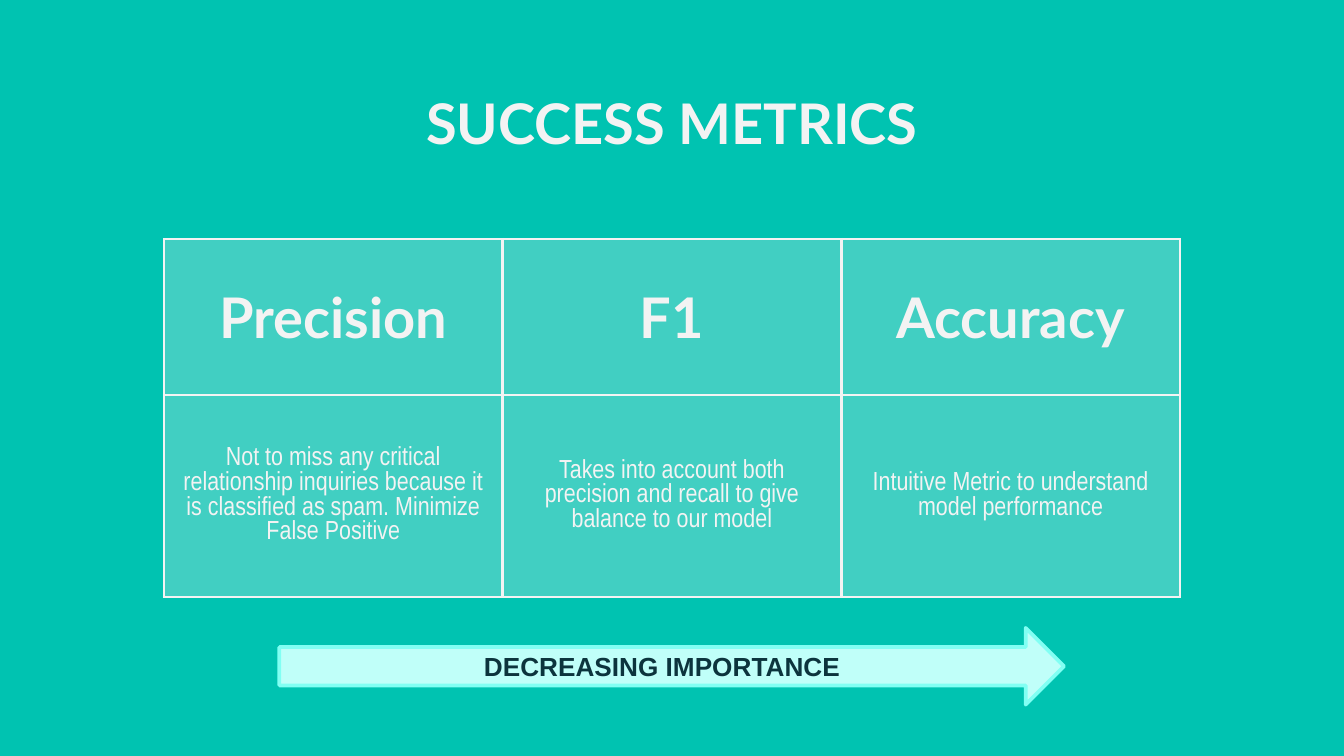
from lxml import etree
from pptx import Presentation
from pptx.dml.color import RGBColor
from pptx.enum.shapes import MSO_SHAPE
from pptx.enum.text import MSO_ANCHOR, MSO_AUTO_SIZE, PP_ALIGN
from pptx.oxml import parse_xml
from pptx.oxml.ns import nsdecls, qn
from pptx.util import Cm, Pt

RIGHT_ARROW = MSO_SHAPE.RIGHT_ARROW
TOP, MIDDLE = MSO_ANCHOR.TOP, MSO_ANCHOR.MIDDLE
CENTER = PP_ALIGN.CENTER
NO_FIT = MSO_AUTO_SIZE.NONE
TITLE_ONLY = 5

COLORS = {
    "background": "00C3B1",
    "light": "F3F3F3",
    "arrow": "C0FFF9",
    "arrow_edge": "81FFF3",
    "dark": "0C343D",
}
HEADING = {"name": "Lato", "size": Pt(30), "bold": True}
DETAIL = {"name": "Arial Narrow", "size": Pt(14), "bold": False}
LABEL = {"name": "Arial", "size": Pt(14), "bold": True}

METRICS = {
    "Precision": "Not to miss any critical relationship inquiries because it "
                 "is classified as spam. Minimize False Positive",
    "F1": "Takes into account both precision and recall to give balance to our model",
    "Accuracy": "Intuitive Metric to understand model performance",
}
COLUMN_WIDTH = Cm(6.4)
ROW_HEIGHTS = (Cm(2.95), Cm(3.81))
MARGIN = Cm(0.25)
CELL_ALPHA = 27
BORDER_WIDTH = Pt(1.5)


def rgb(color):
    return RGBColor.from_string(COLORS[color])


def write(frame, text, font, color):
    """Put one centred paragraph into a text frame."""
    para = frame.paragraphs[0]
    para.alignment = CENTER
    span = para.add_run()
    span.text = text
    for name, value in font.items():
        setattr(span.font, name, value)
    span.font.color.rgb = rgb(color)


def set_margins(target):
    for side in ("left", "top", "right", "bottom"):
        setattr(target, f"margin_{side}", MARGIN)


def add_title(slide, text):
    title = slide.shapes.title
    title.left, title.top, title.width, title.height = Cm(2), Cm(1.43), Cm(21.4), Cm(1.6)
    frame = title.text_frame
    frame.auto_size = NO_FIT
    frame.vertical_anchor = TOP
    set_margins(frame)
    write(frame, text, HEADING, "light")


def style_cell(cell):
    """Give a cell a translucent fill and a border on all four sides."""
    cell.vertical_anchor = MIDDLE
    set_margins(cell)
    cell.fill.solid()
    cell.fill.fore_color.rgb = rgb("light")
    properties = cell._tc.get_or_add_tcPr()
    fill_color = properties.find(f"{qn('a:solidFill')}/{qn('a:srgbClr')}")
    etree.SubElement(fill_color, qn("a:alpha"), val=str(CELL_ALPHA * 1000))
    for index, edge in enumerate(("lnL", "lnR", "lnT", "lnB")):
        border = parse_xml(
            f'<a:{edge} {nsdecls("a")} w="{BORDER_WIDTH}"><a:solidFill>'
            f'<a:srgbClr val="{COLORS["light"]}"/></a:solidFill></a:{edge}>')
        properties.insert(index, border)


def add_metrics_table(slide):
    table = slide.shapes.add_table(
        len(ROW_HEIGHTS), len(METRICS), Cm(3.1), Cm(4.52),
        COLUMN_WIDTH * len(METRICS), sum(ROW_HEIGHTS)).table
    table.first_row = table.horz_banding = False
    for row, height in zip(table.rows, ROW_HEIGHTS):
        row.height = height
    for index, texts in enumerate(METRICS.items()):
        table.columns[index].width = COLUMN_WIDTH
        for row, (text, font) in enumerate(zip(texts, (HEADING, DETAIL))):
            cell = table.cell(row, index)
            style_cell(cell)
            write(cell.text_frame, text, font, "light")


def add_arrow(slide, text):
    arrow = slide.shapes.add_shape(RIGHT_ARROW, Cm(5.28), Cm(11.87), Cm(14.83), Cm(1.45))
    arrow.shadow.inherit = False
    arrow.fill.solid()
    arrow.fill.fore_color.rgb = rgb("arrow")
    arrow.line.color.rgb = rgb("arrow_edge")
    arrow.line.width = Pt(2)
    frame = arrow.text_frame
    frame.word_wrap = True
    frame.vertical_anchor = MIDDLE
    write(frame, text, LABEL, "dark")


def main():
    deck = Presentation()
    deck.slide_width, deck.slide_height = Cm(25.4), Cm(14.29)
    slide = deck.slides.add_slide(deck.slide_layouts[TITLE_ONLY])
    slide.background.fill.solid()
    slide.background.fill.fore_color.rgb = rgb("background")
    add_title(slide, "SUCCESS METRICS")
    add_metrics_table(slide)
    add_arrow(slide, "DECREASING IMPORTANCE")
    deck.save("out.pptx")


if __name__ == "__main__":
    main()
